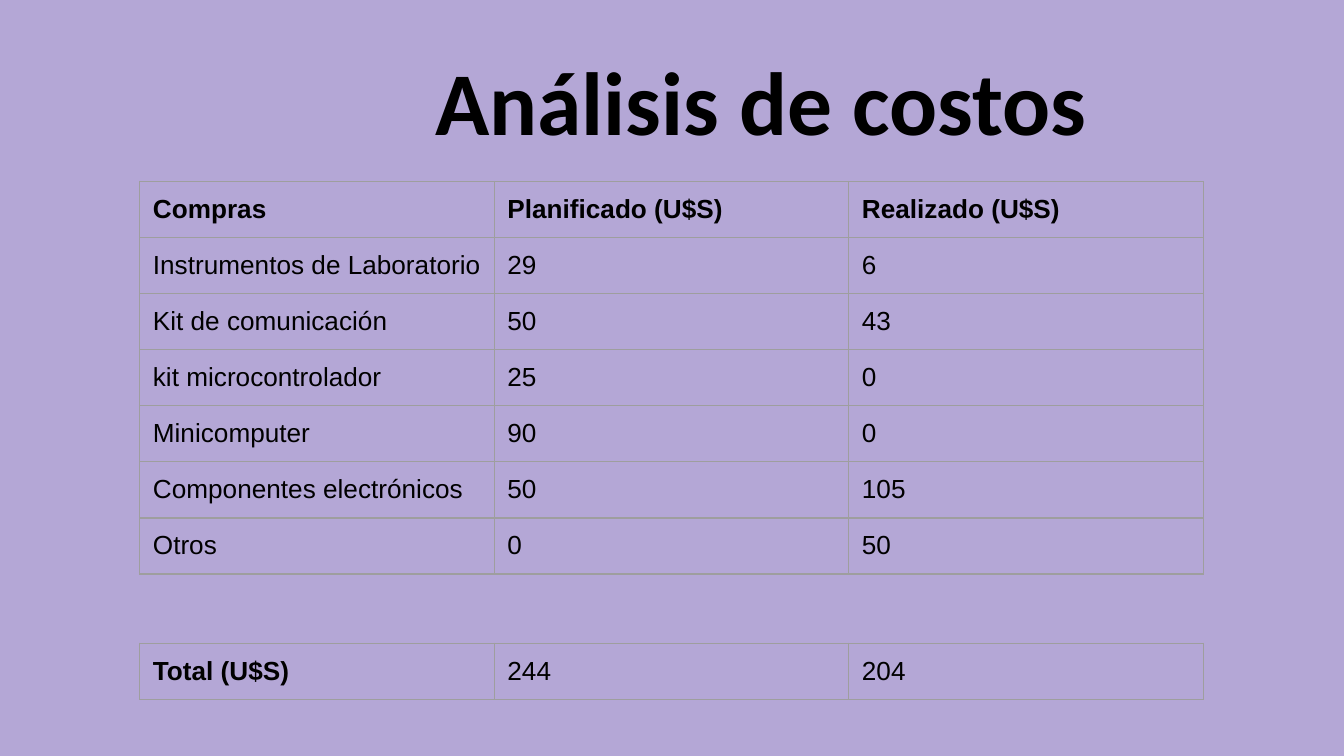
from lxml import etree
from pptx import Presentation
from pptx.dml.color import RGBColor
from pptx.enum import text
from pptx.oxml import ns
from pptx.util import Cm, Pt

COLORS = {"background": "B4A7D6", "ink": "000000", "border": "9E9E9E"}
MARGIN = Cm(0.25)
TABLE_LEFT = 2.64
COLUMN_WIDTH = 6.7
ROW_HEIGHT = 1.06

PURCHASES = [
    ("Compras", "Planificado (U$S)", "Realizado (U$S)"),
    ("Instrumentos de Laboratorio", "29", "6"),
    ("Kit de comunicación", "50", "43"),
    ("kit microcontrolador", "25", "0"),
    ("Minicomputer", "90", "0"),
    ("Componentes electrónicos", "50", "105"),
    ("Otros", "0", "50"),
]
TOTALS = [("Total (U$S)", "244", "204")]


def write(frame, content, size=14, font="Arial", bold=False, color="ink"):
    paragraph = frame.paragraphs[0]
    paragraph.alignment = text.PP_ALIGN.LEFT
    run = paragraph.add_run()
    run.text = content
    run.font.size = Pt(size)
    run.font.name = font
    run.font.bold = bold
    run.font.color.rgb = RGBColor.from_string(COLORS[color])


def set_margins(holder):
    holder.margin_left = holder.margin_right = MARGIN
    holder.margin_top = holder.margin_bottom = MARGIN


def add_borders(cell):
    properties = cell._tc.get_or_add_tcPr()
    for position, side in enumerate(("lnL", "lnR", "lnT", "lnB")):
        line = etree.Element(ns.qn(f"a:{side}"), w=str(Pt(0.75)))
        fill = etree.SubElement(line, ns.qn("a:solidFill"))
        etree.SubElement(fill, ns.qn("a:srgbClr"), val=COLORS["border"])
        properties.insert(position, line)


def add_title(slide, content):
    title = slide.shapes.title
    title.left, title.top = Cm(7.98), Cm(0.61)
    title.width, title.height = Cm(23.67), Cm(1.6)
    frame = title.text_frame
    set_margins(frame)
    frame.word_wrap = True
    frame.auto_size = text.MSO_AUTO_SIZE.NONE
    frame.vertical_anchor = text.MSO_ANCHOR.TOP
    write(frame, content, size=48, font="Calibri", bold=True)


def add_cost_table(slide, top, entries, is_bold):
    columns = len(entries[0])
    costs = slide.shapes.add_table(
        len(entries), columns, Cm(TABLE_LEFT), Cm(top),
        Cm(COLUMN_WIDTH * columns), Cm(ROW_HEIGHT * len(entries)),
    ).table
    costs.first_row = costs.horz_banding = False
    for row, entry in enumerate(entries):
        for column, content in enumerate(entry):
            cell = costs.cell(row, column)
            set_margins(cell)
            cell.fill.background()
            write(cell.text_frame, content, bold=is_bold(row, column))
            add_borders(cell)


def main():
    deck = Presentation()
    deck.slide_width, deck.slide_height = Cm(25.4), Cm(14.29)
    slide = deck.slides.add_slide(deck.slide_layouts[5])
    backdrop = slide.background.fill
    backdrop.solid()
    backdrop.fore_color.rgb = RGBColor.from_string(COLORS["background"])
    add_title(slide, "Análisis de costos")
    add_cost_table(slide, 3.43, PURCHASES, lambda row, column: row == 0)
    add_cost_table(slide, 12.16, TOTALS, lambda row, column: column == 0)
    deck.save("out.pptx")


if __name__ == "__main__":
    main()
